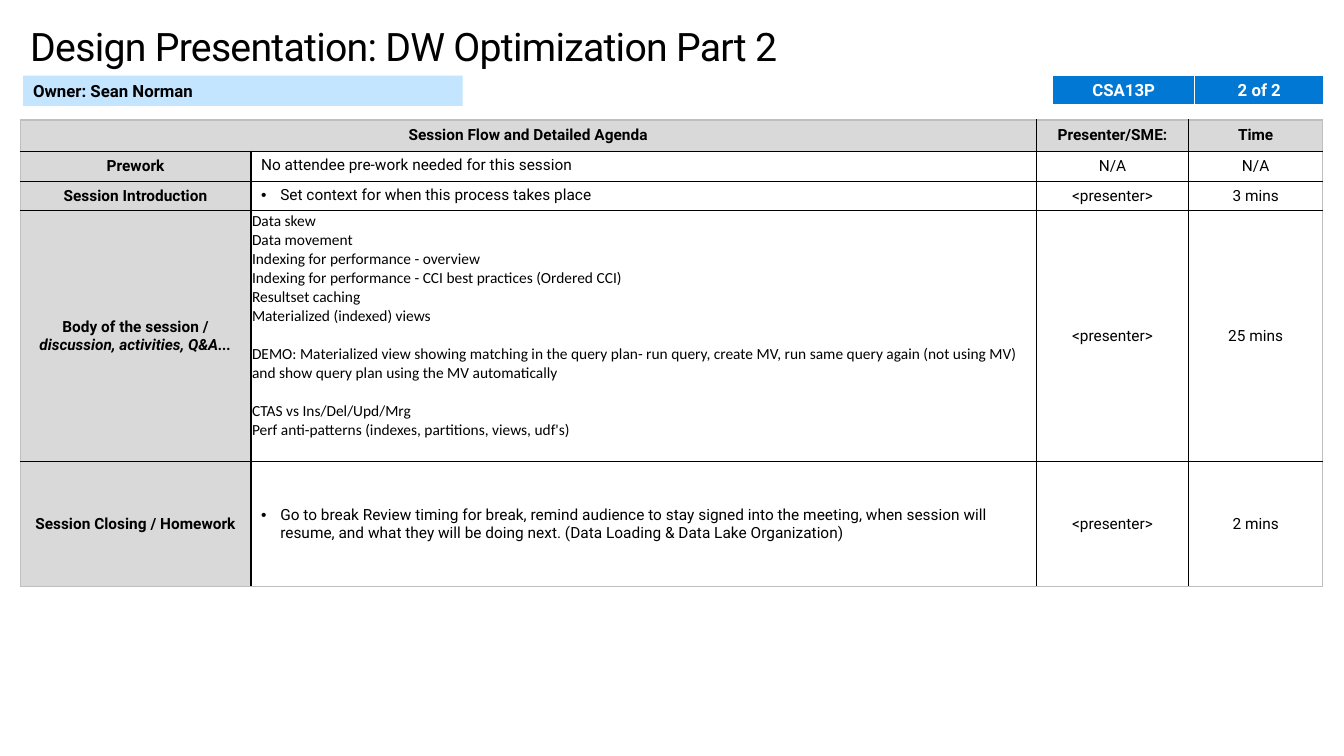
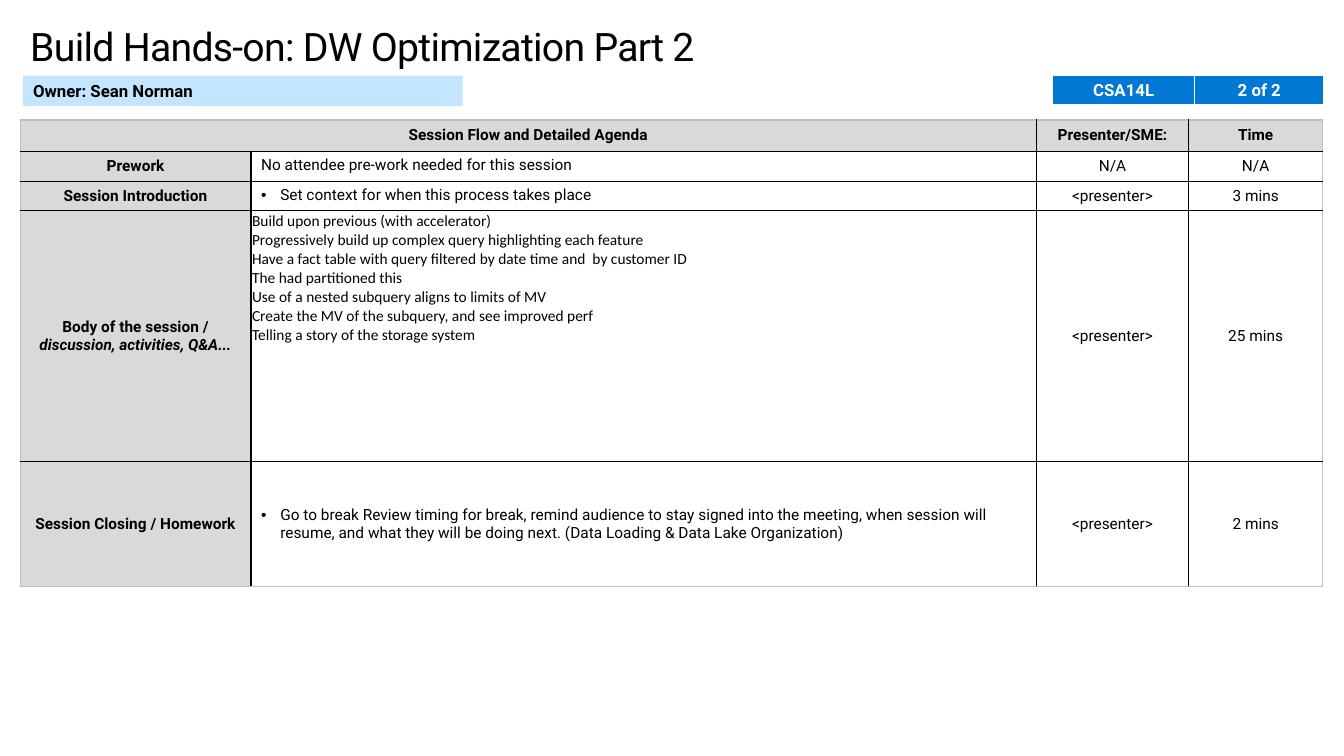
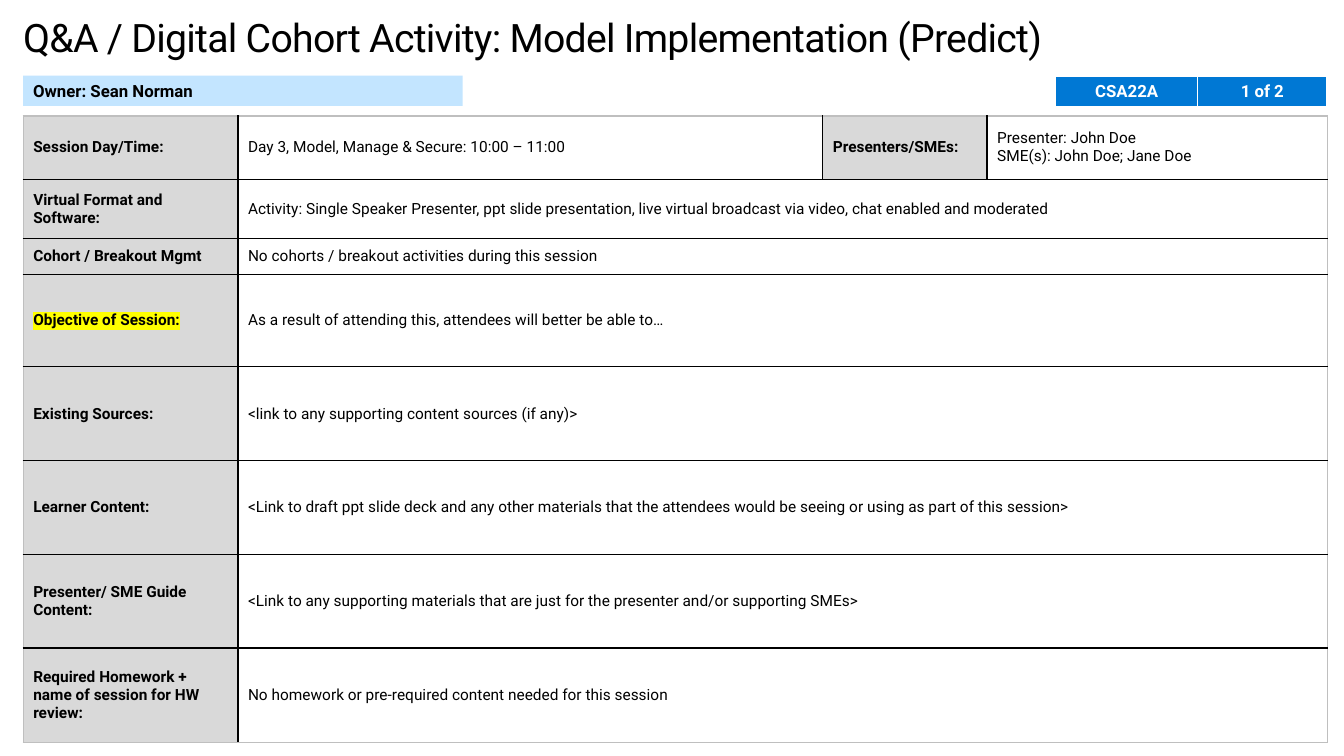
"""Build three session planning slides, each with a title, an owner band, a tag pair and a table."""
from lxml.etree import SubElement
from pptx import Presentation
from pptx.dml.color import RGBColor
from pptx.enum.shapes import MSO_SHAPE
from pptx.enum.text import MSO_ANCHOR, MSO_AUTO_SIZE, PP_ALIGN
from pptx.oxml import parse_xml
from pptx.oxml.ns import nsdecls, qn
from pptx.util import Inches, Pt

HUE = {"ink": "000000", "paper": "FFFFFF", "head": "D9D9D9", "edge": "BFBFBF",
       "band": "C3E5FF", "tag": "0078D4", "mark": "FFFF00"}
UNIT = Inches(0.01)
WIDE, HIGH = 1333, 750
LEFT = 23
INDENT = 19 * UNIT


def write(frame, text, style="", size=11, hue="ink"):
    """Fill a frame line by line; an empty line becomes space before the next one."""
    frame.word_wrap = True
    gap, first = False, True
    lines = text.split("\n")
    for spot, line in enumerate(lines):
        if not line:
            gap = True
            continue
        para = frame.paragraphs[0] if first else frame.add_paragraph()
        para.alignment = PP_ALIGN.CENTER if "c" in style else PP_ALIGN.LEFT
        para.space_before = Pt(13.4 if gap else 0)
        gap = first = False
        if "•" in style:
            prop = para._p.get_or_add_pPr()
            prop.set("marL", str(INDENT))
            prop.set("indent", str(-INDENT))
            SubElement(prop, qn("a:buFont")).set("typeface", "Arial")
            SubElement(prop, qn("a:buChar")).set("char", "•")
        run = para.add_run()
        run.text = line
        font = run.font
        font.name = "Calibri" if "n" in style else "Roboto"
        font.size = Pt(size)
        font.bold = "b" in style
        font.italic = "i" in style and spot == len(lines) - 1
        font.color.rgb = RGBColor.from_string(HUE[hue])
        if "y" in style:
            font._element.find(qn("a:solidFill")).addnext(parse_xml(
                f'<a:highlight {nsdecls("a")}><a:srgbClr val="{HUE["mark"]}"/></a:highlight>'))


def grid(slide, left, top, cols, rows, cells, tags=False):
    """Add a ruled table; a cell of None joins the cell on its left."""
    table = slide.shapes.add_table(len(rows), len(cols), left * UNIT, top * UNIT,
                                   sum(cols) * UNIT, sum(rows) * UNIT).table
    table.first_row = table.horz_banding = False
    for col, width in zip(table.columns, cols):
        col.width = width * UNIT
    for row, height in zip(table.rows, rows):
        row.height = height * UNIT
    for r, line in enumerate(cells):
        for c, item in enumerate(line):
            cell, end = table.cell(r, c), c
            while end + 1 < len(cols) and line[end + 1] is None:
                end += 1
            if item:
                if end > c:
                    cell.merge(table.cell(r, end))
                text, style = item
                if "n" in style:
                    cell.margin_left = cell.margin_top = cell.margin_right = UNIT
                    cell.margin_bottom = 0
                write(cell.text_frame, text, style, 12 if tags else 11, "paper" if tags else "ink")
                cell.vertical_anchor = MSO_ANCHOR.TOP if "t" in style else MSO_ANCHOR.MIDDLE
            fill = "tag" if tags else "head" if item and "b" in item[1] else "paper"
            cell.fill.solid()
            cell.fill.fore_color.rgb = RGBColor.from_string(HUE[fill])
            outer = {"L": c == 0, "R": end == len(cols) - 1, "T": r == 0, "B": r == len(rows) - 1}
            prop = cell._tc.get_or_add_tcPr()
            for spot, (side, out) in enumerate(outer.items()):
                hue = HUE["paper" if tags else "edge" if out else "ink"]
                width = Pt(3 if tags and side == "B" else 1)
                prop.insert(spot, parse_xml(
                    f'<a:ln{side} {nsdecls("a")} w="{width}"><a:solidFill>'
                    f'<a:srgbClr val="{hue}"/></a:solidFill></a:ln{side}>'))


def_flow = ((229, 779, 151, 133), (31, 30, 29, 249, 124))
def_plan = ((213, 580, 163, 338), (63, 59, 35, 92, 93, 93, 93, 94))

decks = [
    ("Design Presentation: DW Optimization Part 2", "CSA13P",
     "Data skew\nData movement\nIndexing for performance - overview\n"
     "Indexing for performance - CCI best practices (Ordered CCI)\n"
     "Resultset caching\nMaterialized (indexed) views\n\n"
     "DEMO: Materialized view showing matching in the query plan- run query, create MV, "
     "run same query again (not using MV) and show query plan using the MV automatically\n\n"
     "CTAS vs Ins/Del/Upd/Mrg\nPerf anti-patterns (indexes, partitions, views, udf's)"),
    ("Build Hands-on: DW Optimization Part 2", "CSA14L",
     "Build upon previous (with accelerator)\n"
     "Progressively build up complex query highlighting each feature\n"
     "Have a fact table with query filtered by date time and  by customer ID\n"
     "The had partitioned this\nUse of a nested subquery aligns to limits of MV\n"
     "Create the MV of the subquery, and see improved perf\n"
     "Telling a story of the storage system"),
    ("Q&A / Digital Cohort Activity: Model Implementation (Predict)", "CSA22A", None),
]

plan = [[("Session Day/Time:", "b"), ("Day 3, Model, Manage & Secure: 10:00 – 11:00", ""),
         ("Presenters/SMEs:", "b"), ("Presenter: John Doe\nSME(s): John Doe; Jane Doe", "")]]
for name, style, text in [
    ("Virtual Format and Software:", "b",
     "Activity: Single Speaker Presenter, ppt slide presentation, "
     "live virtual broadcast via video, chat enabled and moderated"),
    ("Cohort / Breakout Mgmt", "b", "No cohorts / breakout activities during this session"),
    ("Objective of Session:", "by",
     "As a result of attending this, attendees will better be able to…"),
    ("Existing Sources:", "b", "<link to any supporting content sources (if any)>"),
    ("Learner Content:", "b",
     "<Link to draft ppt slide deck and any other materials that the attendees "
     "would be seeing or using as part of this session>"),
    ("Presenter/ SME Guide Content:", "b",
     "<Link to any supporting materials that are just for the presenter and/or supporting SMEs>"),
    ("Required Homework + name of session for HW review:", "b",
     "No homework or pre-required content needed for this session"),
]:
    plan.append([(name, style), (text, ""), None, None])

show = Presentation()
show.slide_width, show.slide_height = WIDE * UNIT, HIGH * UNIT

for name, code, body in decks:
    slide = show.slides.add_slide(show.slide_layouts[5])
    title = slide.shapes.title
    place = (20, 17, 1290, 57) if body else (LEFT, 13, 1287, 47)
    title.left, title.top, title.width, title.height = [n * UNIT for n in place]
    frame = title.text_frame
    frame.auto_size = MSO_AUTO_SIZE.NONE
    frame.vertical_anchor = MSO_ANCHOR.TOP
    frame.margin_left = frame.margin_right = (10 if body else 0) * UNIT
    frame.margin_top = frame.margin_bottom = (5 if body else 0) * UNIT
    write(frame, name, size=28)
    frame.paragraphs[0].runs[0].font._element.set("spc", "-50")

    if body:
        flow = [
            [("Session Flow and Detailed Agenda", "bc"), None,
             ("Presenter/SME:", "bc"), ("Time", "bc")],
            [("Prework", "bc"), ("No attendee pre-work needed for this session", "t"),
             ("N/A", "c"), ("N/A", "c")],
            [("Session Introduction", "bc"), ("Set context for when this process takes place", "t•"),
             ("<presenter>", "c"), ("3 mins", "c")],
            [("Body of the session /\ndiscussion, activities, Q&A...", "bci"), (body, "tn"),
             ("<presenter>", "c"), ("25 mins", "c")],
            [("Session Closing / Homework", "bc"),
             ("Go to break Review timing for break, remind audience to stay signed into the "
              "meeting, when session will resume, and what they will be doing next. "
              "(Data Loading & Data Lake Organization)", "•"),
             ("<presenter>", "c"), ("2 mins", "c")],
        ]
        grid(slide, 20, 119, *def_flow, flow)
    else:
        grid(slide, LEFT, 115, *def_plan, plan)

    band = slide.shapes.add_shape(MSO_SHAPE.RECTANGLE, LEFT * UNIT, 75 * UNIT, 436 * UNIT, 30 * UNIT)
    band.shadow.inherit = False
    band.fill.solid()
    band.fill.fore_color.rgb = RGBColor.from_string(HUE["band"])
    band.line.fill.background()
    write(band.text_frame, "Owner: Sean Norman", "b", 12)

    left, top, tall, part = (1044, 75, 30, "2 of 2") if body else (1047, 76, 31, "1 of 2")
    grid(slide, left, top, (141, 128), (tall,), [[(code, "bct"), (part, "bct")]], tags=True)

show.save("out.pptx")
